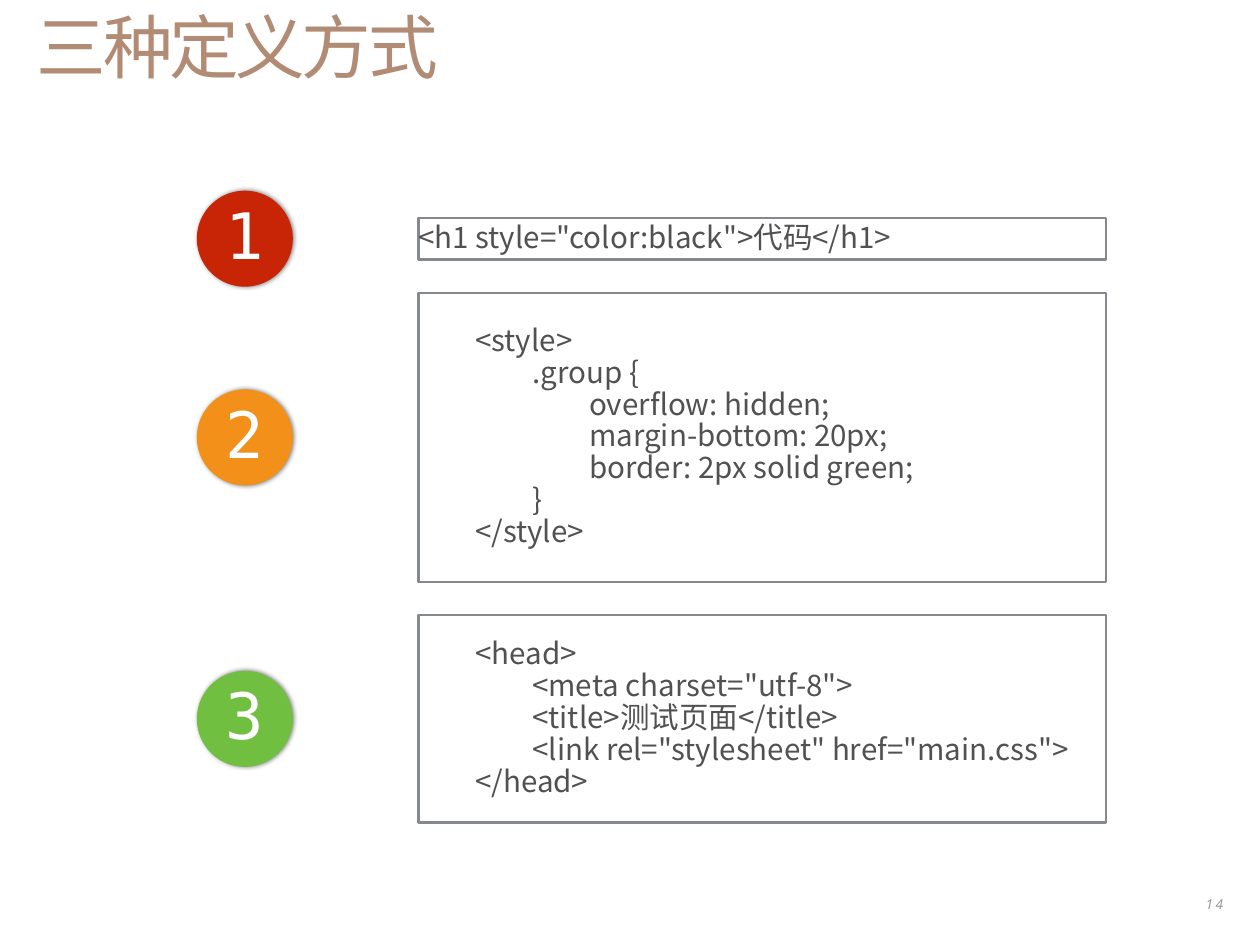
from dataclasses import dataclass

from lxml.etree import SubElement
from pptx import Presentation
from pptx.dml.color import RGBColor
from pptx.enum.shapes import MSO_SHAPE
from pptx.enum.text import MSO_ANCHOR, PP_ALIGN
from pptx.oxml.ns import qn
from pptx.util import Pt


@dataclass(frozen=True)
class Theme:
    """Colours, fonts and type sizes of the slide."""
    title_color: str = "B18B74"
    page_color: str = "929396"
    code_color: str = "515151"
    border_color: str = "85888D"
    badge_text_color: str = "FFFFFF"
    shadow_color: str = "000000"
    badge_colors: tuple = ("C82506", "F39019", "70BF41")
    text_font: str = "Noto Sans CJK SC"
    badge_font: str = "DejaVu Sans Mono"
    page_font: str = "Open Sans"
    title_size: float = 56.6
    badge_size: float = 52
    code_size: float = 24
    page_size: float = 11


THEME = Theme()
BADGE_SIZE = 78
BADGE_OFFSET = 180
BOX_GAP = 27
TAB_WIDTH = 46.3

INLINE_CODE = '<h1 style="color:black">代码</h1>'
STYLE_CODE = """\t<style>
\t\t.group {
\t\t\toverflow: hidden;
\t\t\tmargin-bottom: 20px;
\t\t\tborder: 2px solid green;
\t\t}
\t</style>"""
LINK_CODE = """\t<head>
\t\t<meta charset="utf-8">
\t\t<title>测试页面</title>
\t\t<link rel="stylesheet" href="main.css">
\t</head>"""
METHODS = [(INLINE_CODE, 34), (STYLE_CODE, 235), (LINK_CODE, 168.5)]


def write_text(shape, text, font, size, color, align=PP_ALIGN.LEFT,
               line_spacing=0.9, tracking=0, italic=False):
    """Fill a shape with evenly formatted text and no margins."""
    frame = shape.text_frame
    frame.margin_left = frame.margin_right = 0
    frame.margin_top = frame.margin_bottom = 0
    frame.word_wrap = True
    frame.vertical_anchor = MSO_ANCHOR.MIDDLE
    frame.text = text
    for para in frame.paragraphs:
        para.alignment = align
        para.line_spacing = line_spacing
        for span in para.runs:
            span.font.name = font
            span.font.size = Pt(size)
            span.font.italic = italic
            span.font.color.rgb = RGBColor.from_string(color)
            properties = span.font._element
            SubElement(properties, qn("a:ea"), typeface=font)
            if tracking:
                properties.set("spc", str(round(tracking * 100)))


def add_title(page, text, left, top, width, height):
    """Place the slide heading."""
    box = page.shapes.add_textbox(Pt(left), Pt(top), Pt(width), Pt(height))
    write_text(box, text, THEME.text_font, THEME.title_size, THEME.title_color,
               line_spacing=0.6, tracking=-2.8)


def add_page_number(page, text, left, top, width, height):
    """Place the page number in its corner."""
    box = page.shapes.add_textbox(Pt(left), Pt(top), Pt(width), Pt(height))
    write_text(box, text, THEME.page_font, THEME.page_size, THEME.page_color,
               PP_ALIGN.RIGHT, 1, 2.1, True)
    box.text_frame.vertical_anchor = MSO_ANCHOR.TOP


def add_code_box(page, code, left, top, width, height):
    """Place an outlined box of code with even tab stops."""
    box = page.shapes.add_shape(MSO_SHAPE.RECTANGLE, Pt(left), Pt(top), Pt(width), Pt(height))
    box.shadow.inherit = False
    box.fill.background()
    box.line.color.rgb = RGBColor.from_string(THEME.border_color)
    box.line.width = Pt(2)
    write_text(box, code, THEME.text_font, THEME.code_size, THEME.code_color)
    for para in box.text_frame.paragraphs:
        depth = para.text.count("\t")
        if depth:
            stops = SubElement(para._p.get_or_add_pPr(), qn("a:tabLst"))
            for step in range(1, depth + 1):
                SubElement(stops, qn("a:tab"), pos=str(Pt(step * TAB_WIDTH)), algn="l")


def add_badge(page, number, color, left, top, size):
    """Place a numbered disc with a soft shadow."""
    disc = page.shapes.add_shape(MSO_SHAPE.OVAL, Pt(left), Pt(top), Pt(size), Pt(size))
    disc.fill.solid()
    disc.fill.fore_color.rgb = RGBColor.from_string(color)
    disc.line.fill.background()
    disc.shadow.inherit = False
    effects = disc._element.spPr.find(qn("a:effectLst"))
    shadow = SubElement(effects, qn("a:outerShdw"), blurRad=str(Pt(4)), dist=str(Pt(1)),
                        dir="0", rotWithShape="0")
    shade = SubElement(shadow, qn("a:srgbClr"), val=THEME.shadow_color)
    SubElement(shade, qn("a:alpha"), val="50000")
    write_text(disc, str(number), THEME.badge_font, THEME.badge_size,
               THEME.badge_text_color, PP_ALIGN.CENTER)


def add_methods(page, left, top, width):
    """Stack the code boxes, each with a disc centred beside it."""
    for number, ((code, height), color) in enumerate(zip(METHODS, THEME.badge_colors), 1):
        add_code_box(page, code, left + BADGE_OFFSET, top, width - BADGE_OFFSET, height)
        add_badge(page, number, color, left, top + (height - BADGE_SIZE) / 2, BADGE_SIZE)
        top += height + BOX_GAP


def main():
    """Build and save the deck."""
    deck = Presentation()
    deck.slide_width, deck.slide_height = Pt(1024), Pt(768)
    page = deck.slides.add_slide(deck.slide_layouts[6])
    add_title(page, "三种定义方式", 30, 19, 964, 57)
    add_methods(page, 160, 177, 739)
    add_page_number(page, "14", 969, 728.5, 25, 23)
    deck.save("out.pptx")


if __name__ == "__main__":
    main()
